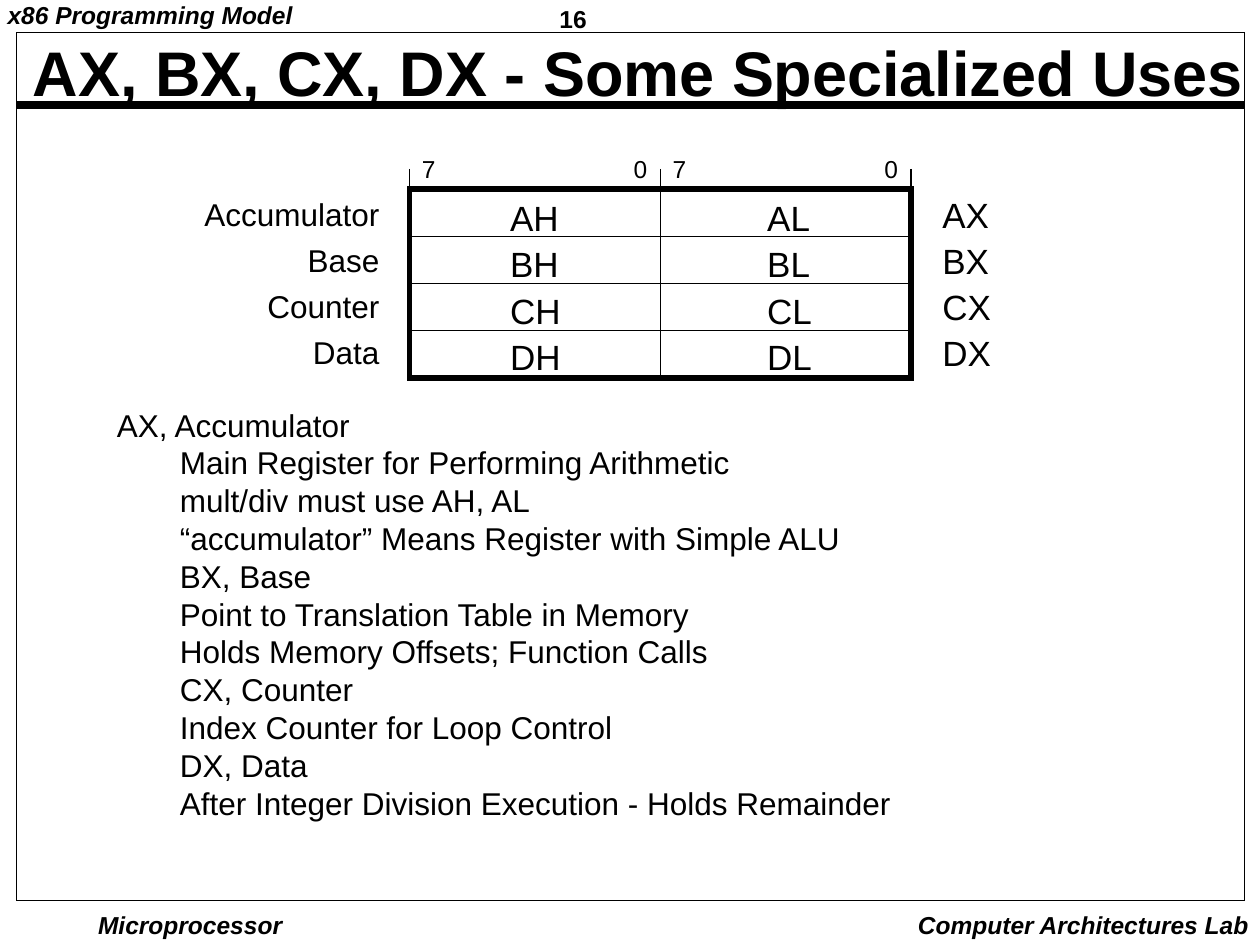
from pptx import Presentation, util as u
from pptx.dml.color import RGBColor
from pptx.enum import shapes, text
from pptx.oxml.ns import qn
from lxml import etree

In = u.Inches
AL = text.PP_ALIGN
C = {"ink": "000000", "paper": "FFFFFF"}

prs = Presentation()
prs.slide_width, prs.slide_height = In(10), In(7.5)
s = prs.slides.add_slide(prs.slide_layouts[5])


def write(sp, lines, size, ins=(0.1, 0.05), al=AL.LEFT, wrap=False, ls=1.0, **font):
    tf = sp.text_frame
    frame = {"margin_left": In(ins[0]), "margin_right": In(ins[0]),
             "margin_top": In(ins[1]), "margin_bottom": In(ins[1]),
             "word_wrap": wrap, "auto_size": text.MSO_AUTO_SIZE.NONE}
    for k, v in frame.items():
        setattr(tf, k, v)
    for i, line in enumerate(lines):
        p = tf.add_paragraph() if i else tf.paragraphs[0]
        para = {"alignment": al, "line_spacing": ls, "space_before": u.Pt(0)}
        for k, v in para.items():
            setattr(p, k, v)
        r = p.add_run()
        r.text = line
        for k, v in {"name": "Arial", "size": u.Pt(size), **font}.items():
            setattr(r.font, k, v)
        r.font.color.rgb = RGBColor.from_string(C["ink"])
    return tf


def rule(x1, y1, x2, y2, width):
    c = s.shapes.add_connector(shapes.MSO_CONNECTOR.STRAIGHT, In(x1), In(y1), In(x2), In(y2))
    c.line.color.rgb = RGBColor.from_string(C["ink"])
    c.line.width = u.Pt(width)
    etree.SubElement(c._element.spPr, qn("a:effectLst"))
    return c


running = [
    ("16", (4.37, 0, 0.36, 0.29), (0.07, 0.03), AL.LEFT, 1.0, False),
    ("x86 Programming Model", (-0.01, 0, 2.4, 0.27), (0.07, 0.03), AL.LEFT, 0.9, True),
    ("Microprocessor", (0.75, 7.21, 1.52, 0.26), (0.03, 0.01), AL.CENTER, 1.0, True),
    ("Computer Architectures Lab", (7.18, 7.17, 2.83, 0.33), (0.1, 0.05), AL.RIGHT, 1.0, True),
]
for line, box, ins, al, ls, italic in running:
    sp = s.shapes.add_textbox(*map(In, box))
    write(sp, [line], 14, ins, al, ls=ls, bold=True, italic=italic)

rule(0.13, 0.83, 9.87, 0.83, 4.5)

x, y, w, h = 3.25, 1.5, 3.98, 1.5
rects = []
for box, width in (((0.13, 0.26, 9.75, 6.89), 0.5), ((x, y, w, h), 3)):
    sp = s.shapes.add_shape(shapes.MSO_SHAPE.RECTANGLE, *map(In, box))
    sp.shadow.inherit = False
    sp.fill.background()
    sp.line.color.rgb = RGBColor.from_string(C["ink"])
    sp.line.width = u.Pt(width)
    etree.SubElement(sp.line._get_or_add_ln(), qn("a:miter"), lim="800000")
    rects.append(sp)
registers = rects[1]
registers.fill.solid()
registers.fill.fore_color.rgb = RGBColor.from_string(C["paper"])

title = s.shapes.title
title.left, title.top, title.width, title.height = map(In, (0.16, 0.16, 9.84, 0.81))
tf = write(title, ["AX, BX, CX, DX - Some Specialized Uses"], 36, wrap=True, bold=True)
tf.vertical_anchor = text.MSO_ANCHOR.MIDDLE

uses = [
    "AX, Accumulator",
    "Main Register for Performing Arithmetic",
    "mult/div must use AH, AL",
    "“accumulator” Means Register with Simple ALU",
    "BX, Base",
    "Point to Translation Table in Memory",
    "Holds Memory Offsets; Function Calls",
    "CX, Counter",
    "Index Counter for Loop Control",
    "DX, Data",
    "After Integer Division Execution - Holds Remainder",
]
sp = s.shapes.add_textbox(*map(In, (0.83, 3.17, 8.58, 4.17)))
tf = write(sp, uses, 18, wrap=True)
for p in tf.paragraphs[1:]:
    p._p.get_or_add_pPr().set("marL", str(In(0.5)))

for i in range(1, 4):
    row = y + i * h / 4
    c = rule(x, row, x + w, row, 0.75)
    if i == 2:
        c.begin_connect(registers, 1)
        c.end_connect(registers, 3)
for i in range(3):
    col = x + i * w / 2
    c = rule(col, 1.34, col, y + h, 0.75)
    if i == 1:
        c.end_connect(registers, 2)

for suffix, left, top, width in (("H", 3.95, 1.48, 0.6), ("L", 5.99, 1.48, 0.55), ("X", 7.38, 1.45, 0.58)):
    sp = s.shapes.add_textbox(*map(In, (left, top, width, 1.57)))
    write(sp, [letter + suffix for letter in "ABCD"], 20, ls=1.1)

mid = x + w / 2
for bit, left in (("7", x), ("0", mid - 0.31), ("7", mid), ("0", x + w - 0.31)):
    sp = s.shapes.add_textbox(*map(In, (left, 1.17, 0.31, 0.34)))
    write(sp, [bit], 14)

for i, name in enumerate(("Accumulator", "Base", "Counter", "Data")):
    sp = s.shapes.add_textbox(*map(In, (1.52, y + i * 0.365, 1.59, 0.4)))
    write(sp, [name], 18, al=AL.RIGHT, wrap=True)

prs.save("out.pptx")
